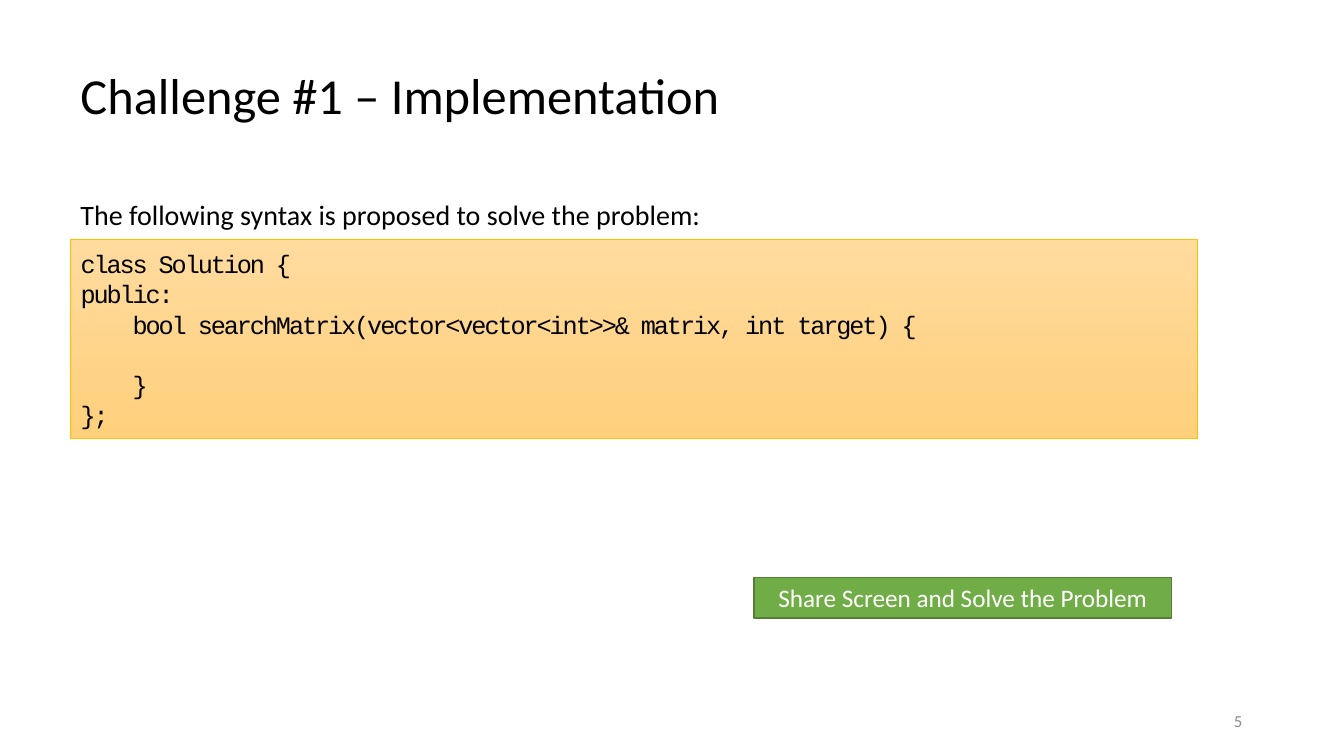
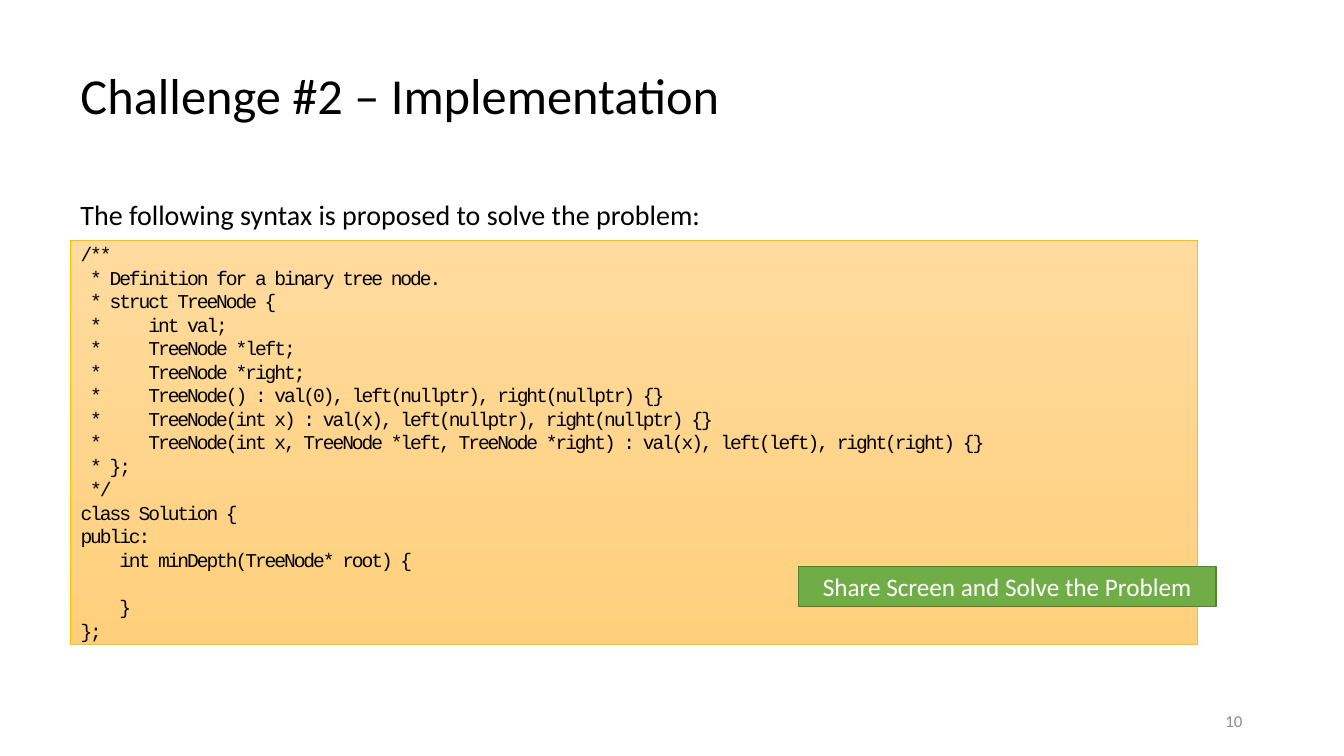
from dataclasses import dataclass

from pptx import Presentation
from pptx.dml.color import RGBColor
from pptx.enum.shapes import MSO_SHAPE
from pptx.enum.text import MSO_ANCHOR, MSO_AUTO_SIZE, PP_ALIGN
from pptx.util import Inches, Pt

RECT = MSO_SHAPE.RECTANGLE
TOP, MIDDLE = MSO_ANCHOR.TOP, MSO_ANCHOR.MIDDLE
LEFT, CENTER, RIGHT = PP_ALIGN.LEFT, PP_ALIGN.CENTER, PP_ALIGN.RIGHT
GROW = MSO_AUTO_SIZE.SHAPE_TO_FIT_TEXT

SANS, MONO = "Calibri", "Courier New"
BLACK, WHITE, GREY = "000000", "FFFFFF", "8C8C8C"
GOLD, PALE, AMBER = "FFC000", "FFDB9E", "FFD07C"
GREEN, FOREST = "70AD47", "538035"
MARGIN = 0.7
TIGHT = "-150"  # letter spacing of code, in hundredths of a point

INTRO = "The following syntax is proposed to solve the problem:"
PROMPT = "Share Screen and Solve the Problem"

MATRIX_CODE = (
    "class Solution {",
    "public:",
    "    bool searchMatrix(vector<vector<int>>& matrix, int target) {",
    "        ",
    "    }",
    "};",
)
TREE_CODE = (
    "/**",
    " * Definition for a binary tree node.",
    " * struct TreeNode {",
    " *     int val;",
    " *     TreeNode *left;",
    " *     TreeNode *right;",
    " *     TreeNode() : val(0), left(nullptr), right(nullptr) {}",
    " *     TreeNode(int x) : val(x), left(nullptr), right(nullptr) {}",
    " *     TreeNode(int x, TreeNode *left, TreeNode *right) : val(x), left(left), right(right) {}",
    " * };",
    " */",
    "class Solution {",
    "public:",
    "    int minDepth(TreeNode* root) {",
    "        ",
    "    }",
    "};",
)


@dataclass(frozen=True)
class Box:
    left: float
    top: float
    width: float
    height: float

    def place(self) -> tuple:
        return tuple(map(Inches, (self.left, self.top, self.width, self.height)))


@dataclass(frozen=True)
class Style:
    size: float
    color: str = BLACK
    font: str = SANS
    align: PP_ALIGN = LEFT
    anchor: MSO_ANCHOR = TOP
    line: float = 1.0
    before: float = 0


@dataclass(frozen=True)
class Task:
    number: int
    page: int
    code: tuple[str, ...]
    size: float
    height: float
    button: tuple[float, float]


TITLE = Style(36, anchor=MIDDLE, line=0.9)
BODY = Style(20, line=0.9, before=10)
PAGE = Style(12, GREY, align=RIGHT, anchor=MIDDLE)
BUTTON = Style(18, WHITE, align=CENTER)

TASKS = (
    Task(1, 5, MATRIX_CODE, 18, 1.97, (7.48, 5.73)),
    Task(2, 10, TREE_CODE, 14, 4.01, (7.92, 5.62)),
)


def rgb(color: str) -> RGBColor:
    return RGBColor.from_string(color)


def write(shape, lines: tuple[str, ...], style: Style) -> None:
    frame = shape.text_frame
    frame.word_wrap = True
    frame.vertical_anchor = style.anchor
    frame.text = "\n".join(lines)
    for para in frame.paragraphs:
        para.alignment = style.align
        para.line_spacing = style.line
        para.space_before = Pt(style.before)
        para.font.name = style.font
        para.font.size = Pt(style.size)
        para.font.color.rgb = rgb(style.color)


def add_text(slide, box: Box, text: str, style: Style) -> None:
    write(slide.shapes.add_textbox(*box.place()), (text,), style)


def add_rect(slide, box: Box, edge: str, weight: float):
    rect = slide.shapes.add_shape(RECT, *box.place())
    rect.shadow.inherit = False
    rect.line.color.rgb = rgb(edge)
    rect.line.width = Pt(weight)
    return rect


def add_code(slide, task: Task) -> None:
    panel = add_rect(slide, Box(MARGIN, 2.38, 11.18, task.height), GOLD, 0.5)
    panel.fill.gradient()
    panel.fill.gradient_angle = 270
    for stop, color in zip(panel.fill.gradient_stops, (PALE, AMBER)):
        stop.color.rgb = rgb(color)
    write(panel, task.code, Style(task.size, font=MONO, anchor=MIDDLE))
    for para in panel.text_frame.paragraphs:
        for run in para.runs:
            run._r.get_or_add_rPr().set("spc", TIGHT)


def add_button(slide, task: Task) -> None:
    button = add_rect(slide, Box(*task.button, 4.14, 0.4), FOREST, 1)
    button.fill.solid()
    button.fill.fore_color.rgb = rgb(GREEN)
    write(button, (PROMPT,), BUTTON)
    button.text_frame.auto_size = GROW


def add_task(deck, task: Task) -> None:
    slide = deck.slides.add_slide(deck.slide_layouts[6])
    title = f"Challenge #{task.number} – Implementation"
    add_text(slide, Box(MARGIN, 0.35, 11.93, 1.24), title, TITLE)
    add_text(slide, Box(MARGIN, 1.95, 11.93, 4.81), INTRO, BODY)
    add_text(slide, Box(9.42, 6.95, 3, 0.4), str(task.page), PAGE)
    add_code(slide, task)
    add_button(slide, task)


def main() -> None:
    deck = Presentation()
    deck.slide_width, deck.slide_height = Inches(13.33), Inches(7.5)
    for task in TASKS:
        add_task(deck, task)
    deck.save("out.pptx")


if __name__ == "__main__":
    main()
